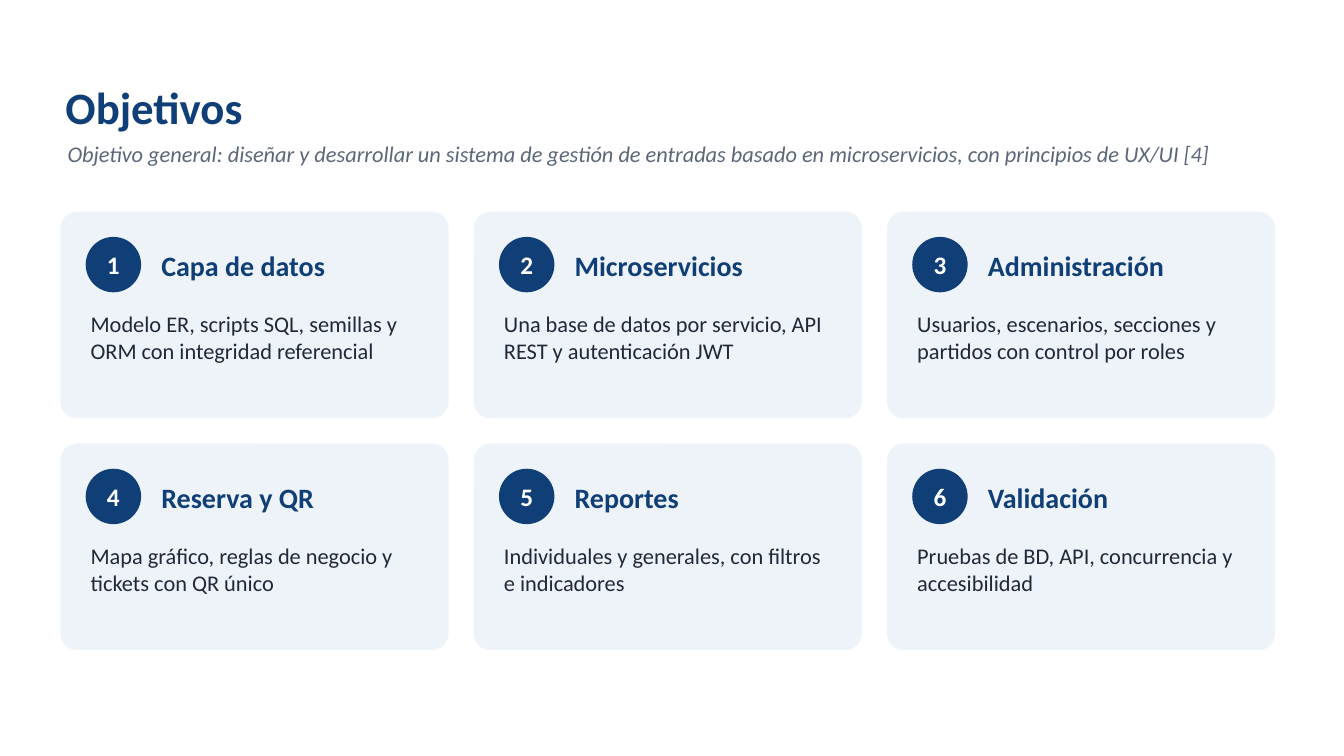
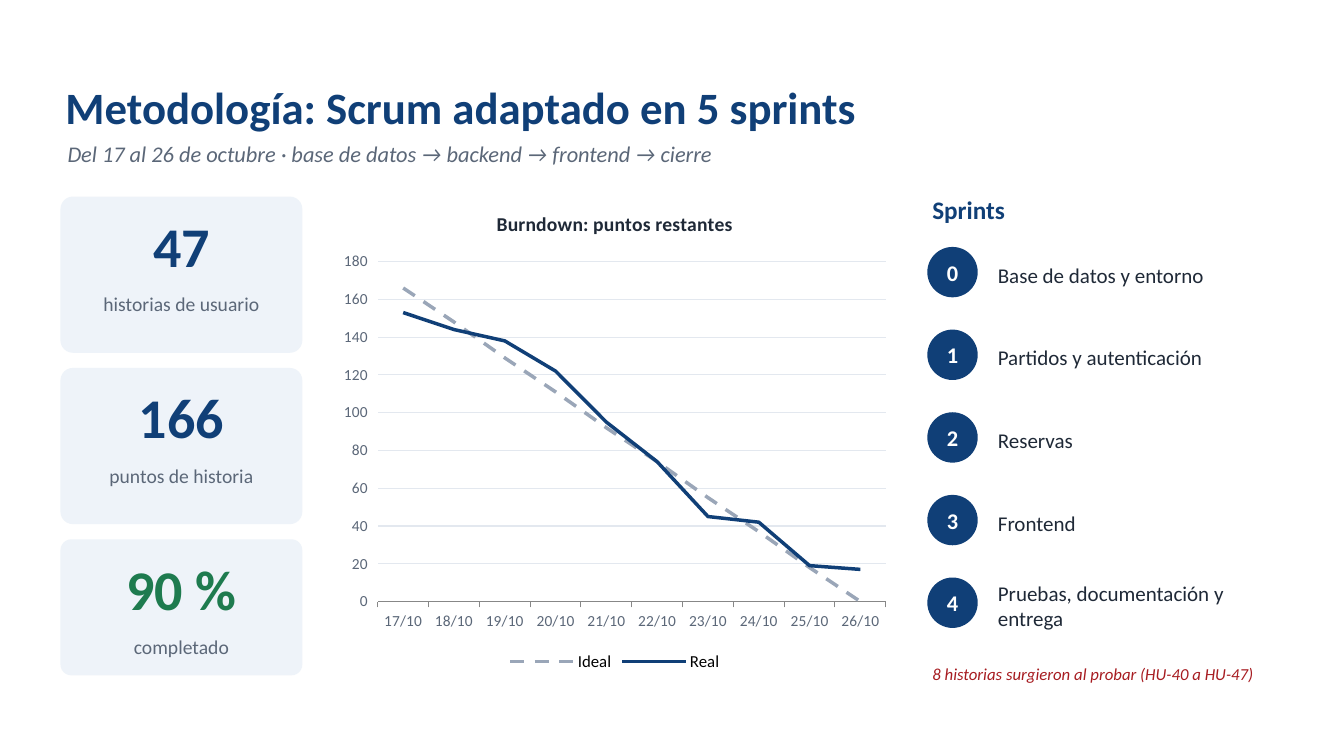
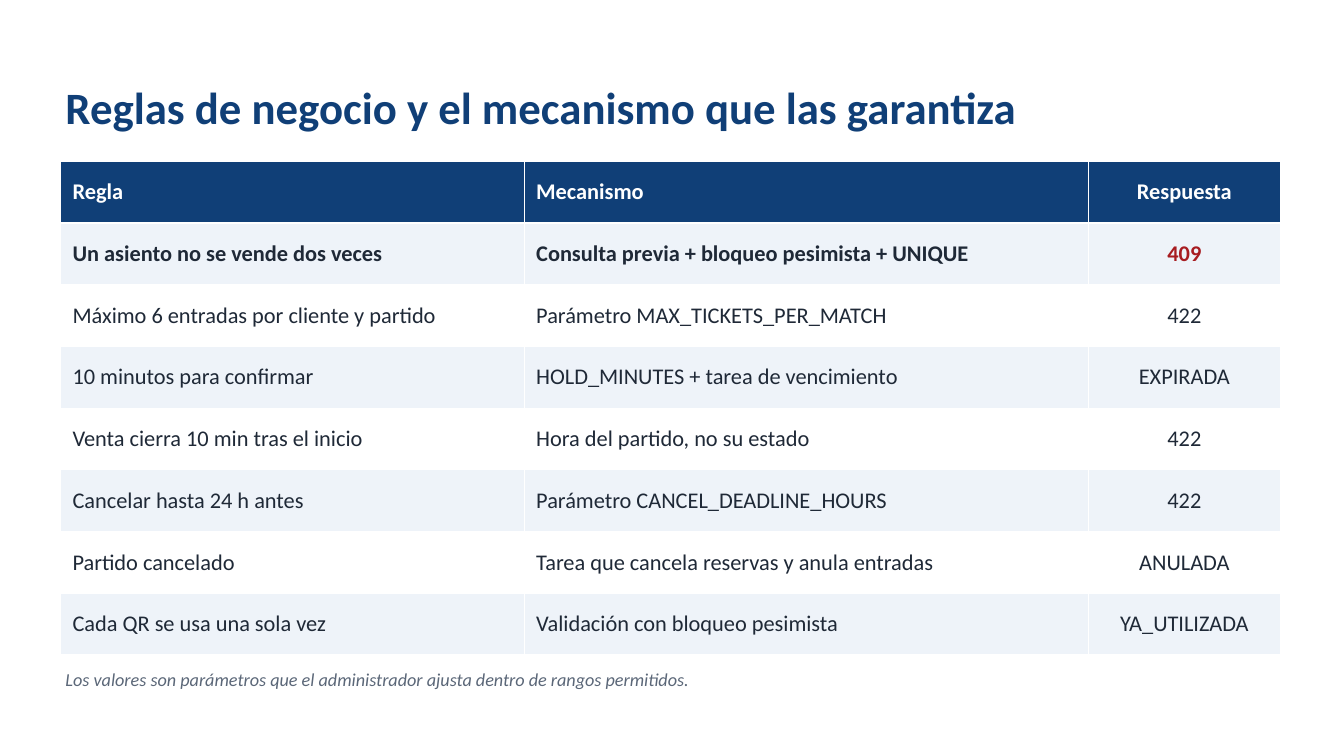
"""Build three slides on objectives, sprints and business rules of a ticketing system."""
import dataclasses

import pptx
import pptx.chart.data
import pptx.dml.color
import pptx.enum.chart
import pptx.enum.dml
import pptx.enum.shapes
import pptx.enum.text
import pptx.presentation
import pptx.shapes.autoshape
import pptx.slide
import pptx.text.text
import pptx.util

Pt = pptx.util.Pt
Shapes = pptx.enum.shapes.MSO_SHAPE
Anchor = pptx.enum.text.MSO_ANCHOR
Align = pptx.enum.text.PP_ALIGN

FONT = "Calibri"
COLORS = {
    "navy": "103F77",
    "panel": "EEF3F9",
    "ink": "1F2937",
    "gray": "5B6778",
    "green": "1E7B4F",
    "red": "A71C21",
    "white": "FFFFFF",
    "black": "000000",
    "grid": "E3E8EF",
    "ideal": "9AA6B8",
}
LEFT = 43.2
FULL_WIDTH = 871.2


@dataclasses.dataclass(frozen=True)
class Style:
    size: float
    color: str
    bold: bool = False
    italic: bool = False
    align: Align = Align.LEFT


@dataclasses.dataclass(frozen=True)
class Area:
    left: float
    top: float
    width: float
    height: float


@dataclasses.dataclass(frozen=True)
class Objective:
    heading: str
    detail: str


@dataclasses.dataclass(frozen=True)
class Stat:
    value: str
    label: str
    color: str
    height: float


@dataclasses.dataclass(frozen=True)
class Rule:
    name: str
    mechanism: str
    response: str


@dataclasses.dataclass(frozen=True)
class Series:
    name: str
    values: tuple[int, ...]
    color: str
    dashed: bool = False


TITLE = Style(32, "navy", bold=True)
SUBTITLE = Style(16, "gray", italic=True)

OBJECTIVES = (
    Objective("Capa de datos", "Modelo ER, scripts SQL, semillas y ORM con integridad referencial"),
    Objective("Microservicios", "Una base de datos por servicio, API REST y autenticación JWT"),
    Objective("Administración", "Usuarios, escenarios, secciones y partidos con control por roles"),
    Objective("Reserva y QR", "Mapa gráfico, reglas de negocio y tickets con QR único"),
    Objective("Reportes", "Individuales y generales, con filtros e indicadores"),
    Objective("Validación", "Pruebas de BD, API, concurrencia y accesibilidad"),
)
STATS = (
    Stat("47", "historias de usuario", "navy", 111.6),
    Stat("166", "puntos de historia", "navy", 111.6),
    Stat("90 %", "completado", "green", 97.2),
)
SPRINTS = (
    "Base de datos y entorno",
    "Partidos y autenticación",
    "Reservas",
    "Frontend",
    "Pruebas, documentación y entrega",
)
BURNDOWN = (
    Series("Ideal", (166, 148, 129, 111, 92, 74, 55, 37, 18, 0), "ideal", dashed=True),
    Series("Real", (153, 144, 138, 122, 95, 74, 45, 42, 19, 17), "navy"),
)
HEADER = Rule("Regla", "Mecanismo", "Respuesta")
RULES = (
    Rule("Un asiento no se vende dos veces", "Consulta previa + bloqueo pesimista + UNIQUE", "409"),
    Rule("Máximo 6 entradas por cliente y partido", "Parámetro MAX_TICKETS_PER_MATCH", "422"),
    Rule("10 minutos para confirmar", "HOLD_MINUTES + tarea de vencimiento", "EXPIRADA"),
    Rule("Venta cierra 10 min tras el inicio", "Hora del partido, no su estado", "422"),
    Rule("Cancelar hasta 24 h antes", "Parámetro CANCEL_DEADLINE_HOURS", "422"),
    Rule("Partido cancelado", "Tarea que cancela reservas y anula entradas", "ANULADA"),
    Rule("Cada QR se usa una sola vez", "Validación con bloqueo pesimista", "YA_UTILIZADA"),
)


def rgb(name: str) -> pptx.dml.color.RGBColor:
    return pptx.dml.color.RGBColor.from_string(COLORS[name])


def set_font(font: pptx.text.text.Font, style: Style) -> None:
    font.name = FONT
    font.size = Pt(style.size)
    font.bold = style.bold
    font.italic = style.italic
    font.color.rgb = rgb(style.color)


def write(frame: pptx.text.text.TextFrame, text: str, style: Style) -> None:
    para = frame.paragraphs[0]
    para.alignment = style.align
    span = para.add_run()
    span.text = text
    set_font(span.font, style)


def add_text(page: pptx.slide.Slide, area: Area, text: str, style: Style,
             anchor: Anchor = Anchor.TOP) -> None:
    box = page.shapes.add_textbox(Pt(area.left), Pt(area.top), Pt(area.width), Pt(area.height))
    frame = box.text_frame
    frame.word_wrap = True
    frame.auto_size = pptx.enum.text.MSO_AUTO_SIZE.SHAPE_TO_FIT_TEXT
    frame.vertical_anchor = anchor
    frame.margin_left = frame.margin_right = Pt(3.6)
    frame.margin_top = frame.margin_bottom = Pt(2.16)
    write(frame, text, style)
    frame.paragraphs[0].space_after = Pt(6)


def add_solid(page: pptx.slide.Slide, kind: Shapes, area: Area,
              color: str) -> pptx.shapes.autoshape.Shape:
    shape = page.shapes.add_shape(kind, Pt(area.left), Pt(area.top), Pt(area.width), Pt(area.height))
    shape.shadow.inherit = False
    shape.fill.solid()
    shape.fill.fore_color.rgb = rgb(color)
    shape.line.fill.background()
    return shape


def add_panel(page: pptx.slide.Slide, area: Area) -> None:
    panel = add_solid(page, Shapes.ROUNDED_RECTANGLE, area, "panel")
    panel.adjustments[0] = 0.08


def add_badge(page: pptx.slide.Slide, left: float, top: float, diameter: float,
              number: int, size: float) -> None:
    badge = add_solid(page, Shapes.OVAL, Area(left, top, diameter, diameter), "navy")
    frame = badge.text_frame
    frame.margin_left = frame.margin_right = 0
    frame.vertical_anchor = Anchor.MIDDLE
    write(frame, str(number), Style(size, "white", bold=True, align=Align.CENTER))


def add_page(deck: pptx.presentation.Presentation, title: str,
             subtitle: str = "") -> pptx.slide.Slide:
    page = deck.slides.add_slide(deck.slide_layouts[6])
    add_text(page, Area(LEFT, 48.96, FULL_WIDTH, 54), title, TITLE, Anchor.MIDDLE)
    if subtitle:
        add_text(page, Area(44.64, 97.92, 864, 32.4), subtitle, SUBTITLE)
    return page


def add_objectives(page: pptx.slide.Slide) -> None:
    width, height, gap, columns = 277.2, 147.6, 18, 3
    for index, objective in enumerate(OBJECTIVES):
        row, column = divmod(index, columns)
        left = LEFT + column * (width + gap)
        top = 151.2 + row * (height + gap)
        add_panel(page, Area(left, top, width, height))
        add_badge(page, left + 18, top + 18, 39.6, index + 1, 18)
        add_text(page, Area(left + 68.4, top + 18.72, 198, 39.6), objective.heading,
                 Style(20, "navy", bold=True), Anchor.MIDDLE)
        add_text(page, Area(left + 18, top + 68.4, 244.8, 75.6), objective.detail, Style(16, "ink"))


def add_stats(page: pptx.slide.Slide) -> None:
    for index, stat in enumerate(STATS):
        top = 140.4 + index * 122.4
        add_panel(page, Area(LEFT, top, 172.8, stat.height))
        add_text(page, Area(LEFT + 10.8, top + 8.64, 151.2, 57.6), stat.value,
                 Style(40, stat.color, bold=True, align=Align.CENTER))
        add_text(page, Area(LEFT + 10.8, top + 66.24, 151.2, stat.height - 68.4), stat.label,
                 Style(14, "gray", align=Align.CENTER))


def add_burndown(page: pptx.slide.Slide) -> None:
    data = pptx.chart.data.CategoryChartData()
    data.categories = [f"{day}/10" for day in range(17, 27)]
    for series in BURNDOWN:
        data.add_series(series.name, series.values)
    chart = page.shapes.add_chart(pptx.enum.chart.XL_CHART_TYPE.LINE, Pt(237.6), Pt(136.8),
                                  Pt(403.2), Pt(345.6), data).chart
    set_font(chart.font, Style(18, "black"))
    chart.has_title = True
    write(chart.chart_title.text_frame, "Burndown: puntos restantes",
          Style(14, "ink", bold=True, align=Align.CENTER))
    chart.chart_title.include_in_layout = False
    chart.has_legend = True
    chart.legend.position = pptx.enum.chart.XL_LEGEND_POSITION.BOTTOM
    chart.legend.include_in_layout = False
    set_font(chart.legend.font, Style(12, "black"))
    for axis in (chart.category_axis, chart.value_axis):
        set_font(axis.tick_labels.font, Style(11, "gray"))
    chart.value_axis.format.line.fill.background()
    gridline = chart.value_axis.major_gridlines.format.line
    gridline.color.rgb = rgb("grid")
    gridline.width = Pt(0.75)
    chart.plots[0].vary_by_categories = False
    for plotted, series in zip(chart.plots[0].series, BURNDOWN):
        plotted.smooth = False
        plotted.marker.style = pptx.enum.chart.XL_MARKER_STYLE.NONE
        line = plotted.format.line
        line.color.rgb = rgb(series.color)
        line.width = Pt(2.5)
        if series.dashed:
            line.dash_style = pptx.enum.dml.MSO_LINE.DASH


def add_sprints(page: pptx.slide.Slide) -> None:
    left = 662.4
    add_text(page, Area(left, 136.8, 252, 32.4), "Sprints", Style(18, "navy", bold=True))
    for number, sprint in enumerate(SPRINTS):
        top = 176.4 + number * 59.04
        add_badge(page, left, top, 36, number, 16)
        add_text(page, Area(left + 46.8, top, 208.8, 39.6), sprint, Style(15, "ink"), Anchor.MIDDLE)
    add_text(page, Area(left, 471.6, 252, 28.8), "8 historias surgieron al probar (HU-40 a HU-47)",
             Style(12, "red", italic=True))


def cell_style(row: int, column: int) -> Style:
    color = "white" if row == 0 else "red" if (row, column) == (1, 2) else "ink"
    return Style(16, color, bold=row <= 1, align=Align.CENTER if column == 2 else Align.LEFT)


def add_rules(page: pptx.slide.Slide) -> None:
    rows = (HEADER, *RULES)
    widths = (331.2, 403.2, 136.8)
    table = page.shapes.add_table(len(rows), len(widths), Pt(LEFT), Pt(115.2),
                                  Pt(FULL_WIDTH), Pt(352.8)).table
    for column, width in zip(table.columns, widths):
        column.width = Pt(width)
    for row, rule in enumerate(rows):
        fill = "navy" if row == 0 else "panel" if row % 2 else "white"
        for column, text in enumerate(dataclasses.astuple(rule)):
            cell = table.cell(row, column)
            cell.fill.solid()
            cell.fill.fore_color.rgb = rgb(fill)
            cell.vertical_anchor = Anchor.MIDDLE
            cell.margin_left = cell.margin_right = Pt(8.64)
            write(cell.text_frame, text, cell_style(row, column))
    add_text(page, Area(LEFT, 475.2, FULL_WIDTH, 28.8),
             "Los valores son parámetros que el administrador ajusta dentro de rangos permitidos.",
             Style(13, "gray", italic=True))


def main() -> None:
    deck = pptx.Presentation()
    deck.slide_width = Pt(960)
    deck.slide_height = Pt(540)
    add_objectives(add_page(
        deck, "Objetivos",
        "Objetivo general: diseñar y desarrollar un sistema de gestión de entradas "
        "basado en microservicios, con principios de UX/UI [4]"))
    method = add_page(deck, "Metodología: Scrum adaptado en 5 sprints",
                      "Del 17 al 26 de octubre · base de datos → backend → frontend → cierre")
    add_stats(method)
    add_burndown(method)
    add_sprints(method)
    add_rules(add_page(deck, "Reglas de negocio y el mecanismo que las garantiza"))
    deck.save("out.pptx")


if __name__ == "__main__":
    main()
